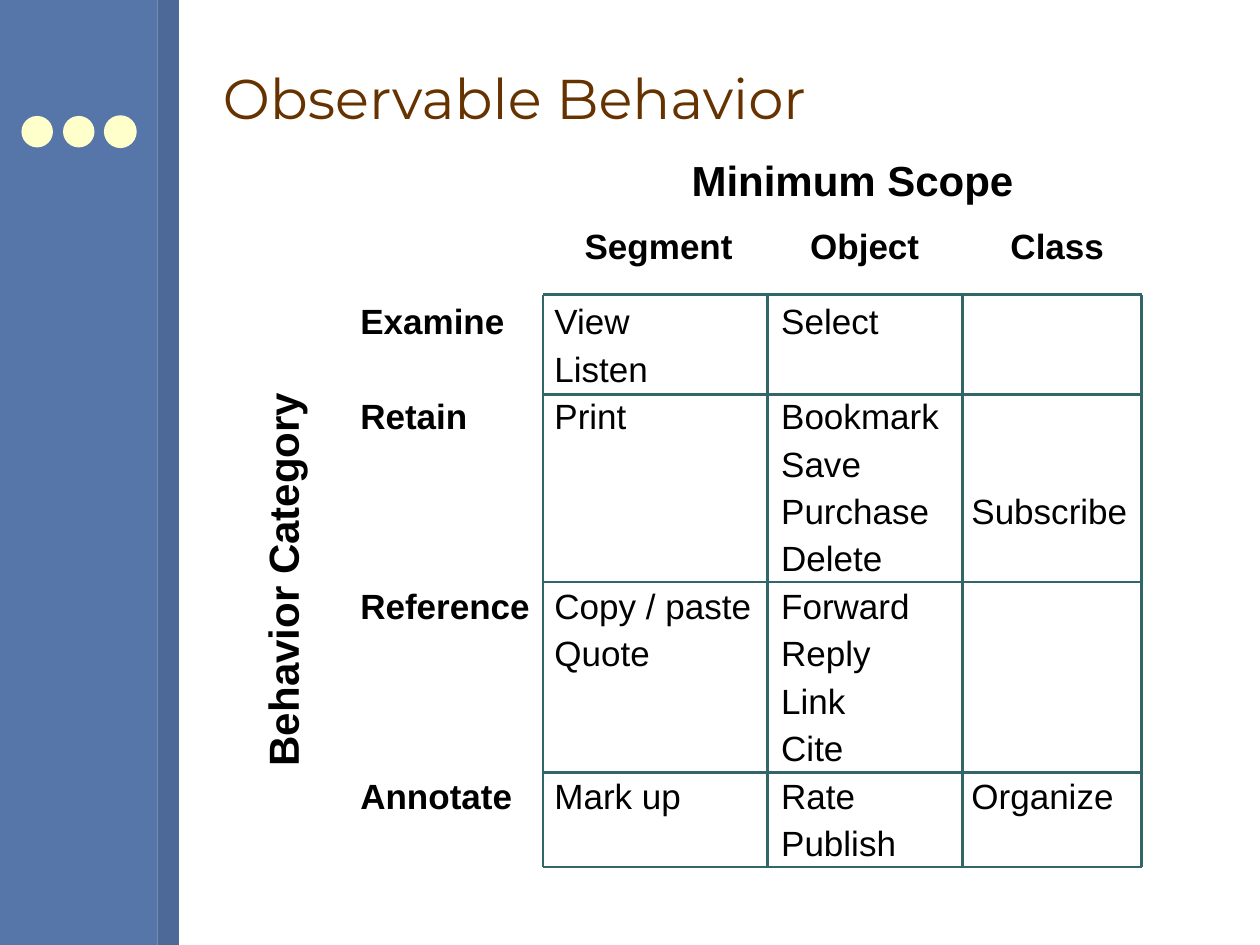
import lxml.etree
import pptx
import pptx.dml.color
import pptx.enum.shapes
import pptx.enum.text
import pptx.oxml.ns
import pptx.util

Inches = pptx.util.Inches
SHAPES = pptx.enum.shapes.MSO_SHAPE
COLORS = {
    "band": "5675A9",
    "edge": "4D6997",
    "dot": "FFFFCC",
    "title": "663300",
    "grid": "336666",
    "text": "000000",
}
FIRST_LINE = 2.38
LINE_PITCH = (6.52 - FIRST_LINE) / 11
TEXT_HEIGHT = 0.33
WIDTH_SLACK = 0.02
CATEGORY_LEFT = 2.86
SCOPE_LEFTS = [4.4, 6.2, 7.71]
GRID_COLUMNS = [4.31, 6.09, 7.64, 9.06]
GRID_ROWS = [2.34, 3.13, 4.62, 6.13, 6.88]

SCOPES = [("Segment", 4.64, 1.18), ("Object", 6.43, 0.87), ("Class", 8.02, 0.74)]
CATEGORIES = [("Examine", 0, 1.15), ("Retain", 2, 0.85), ("Reference", 6, 1.35), ("Annotate", 10, 1.21)]
BEHAVIORS = [
    [("View", 0, 0.6), ("Listen", 1, 0.74), ("Print", 2, 0.57),
     ("Copy / paste", 6, 1.56), ("Quote", 7, 0.76), ("Mark up", 10, 1.01)],
    [("Select", 0, 0.77), ("Bookmark", 2, 1.25), ("Save", 3, 0.64),
     ("Purchase", 4, 1.18), ("Delete", 5, 0.81), ("Forward", 6, 1.02),
     ("Reply", 7, 0.71), ("Link", 8, 0.51), ("Cite", 9, 0.5),
     ("Rate", 10, 0.59), ("Publish", 11, 0.91)],
    [("Subscribe", 4, 1.24), ("Organize", 10, 1.13)],
]


def color(key):
    return pptx.dml.color.RGBColor.from_string(COLORS[key])


class SlideBuilder:
    font = "Arial"
    grid_width = pptx.util.Pt(1.5)

    def __init__(self, slide):
        self.slide = slide

    def shape(self, preset, left, top, width, height, fill, outlined=False):
        shape = self.slide.shapes.add_shape(
            preset, Inches(left), Inches(top), Inches(width), Inches(height))
        shape.shadow.inherit = False
        shape.fill.solid()
        shape.fill.fore_color.rgb = color(fill)
        if outlined:
            shape.line.color.rgb = color(fill)
            shape.line.width = pptx.util.Pt(0.75)
        else:
            shape.line.fill.background()

    def line(self, x1, y1, x2, y2):
        line = self.slide.shapes.add_connector(
            pptx.enum.shapes.MSO_CONNECTOR.STRAIGHT,
            Inches(x1), Inches(y1), Inches(x2), Inches(y2))
        line.line.color.rgb = color("grid")
        line.line.width = self.grid_width
        lxml.etree.SubElement(line._element.spPr, pptx.oxml.ns.qn("a:effectLst"))

    def text(self, text, left, top, width, height=TEXT_HEIGHT, *, size=20,
             bold=False, font=None, fill="text", padded=False, wrap=False,
             rotation=0):
        box = self.slide.shapes.add_textbox(
            Inches(left), Inches(top), Inches(width + WIDTH_SLACK), Inches(height))
        box.rotation = rotation
        frame = box.text_frame
        frame.word_wrap = wrap
        if wrap:
            frame.vertical_anchor = pptx.enum.text.MSO_ANCHOR.MIDDLE
        else:
            frame.auto_size = pptx.enum.text.MSO_AUTO_SIZE.SHAPE_TO_FIT_TEXT
        frame.margin_left = frame.margin_right = Inches(0.1 if padded else 0)
        frame.margin_top = frame.margin_bottom = Inches(0.05 if padded else 0)
        run = frame.paragraphs[0].add_run()
        run.text = text
        run.font.name = font or self.font
        run.font.size = pptx.util.Pt(size)
        run.font.bold = bold
        run.font.color.rgb = color(fill)


def main():
    deck = pptx.Presentation()
    deck.slide_width, deck.slide_height = Inches(10), Inches(7.5)
    builder = SlideBuilder(deck.slides.add_slide(deck.slide_layouts[6]))

    builder.shape(SHAPES.RECTANGLE, 0, 0, 1.25, 7.5, "band")
    builder.shape(SHAPES.RECTANGLE, 1.25, 0, 0.17, 7.5, "edge")
    for dot in range(3):
        builder.shape(SHAPES.OVAL, 0.17 + dot * 0.33, 0.92, 0.25, 0.25, "dot", outlined=dot == 2)
    builder.text("Observable Behavior", 1.67, 0.21, 8, 1.13, size=32,
                 font="Montserrat", fill="title", padded=True, wrap=True)

    for y in GRID_ROWS:
        builder.line(GRID_COLUMNS[0], y, GRID_COLUMNS[-1], y)
    for x in GRID_COLUMNS:
        builder.line(x, GRID_ROWS[0], x, GRID_ROWS[-1])

    builder.text("Minimum Scope", 5.39, 1.18, 2.75, 0.5, size=24, bold=True, padded=True)
    for scope, left, width in SCOPES:
        builder.text(scope, left, 1.78, width, bold=True)

    builder.text("Behavior Category", 0.65, 4.34, 3.16, 0.5, size=24,
                 bold=True, padded=True, rotation=270)
    for category, row, width in CATEGORIES:
        builder.text(category, CATEGORY_LEFT, FIRST_LINE + row * LINE_PITCH, width, bold=True)

    for left, behaviors in zip(SCOPE_LEFTS, BEHAVIORS):
        for behavior, row, width in behaviors:
            builder.text(behavior, left, FIRST_LINE + row * LINE_PITCH, width)

    deck.save("out.pptx")


if __name__ == "__main__":
    main()
